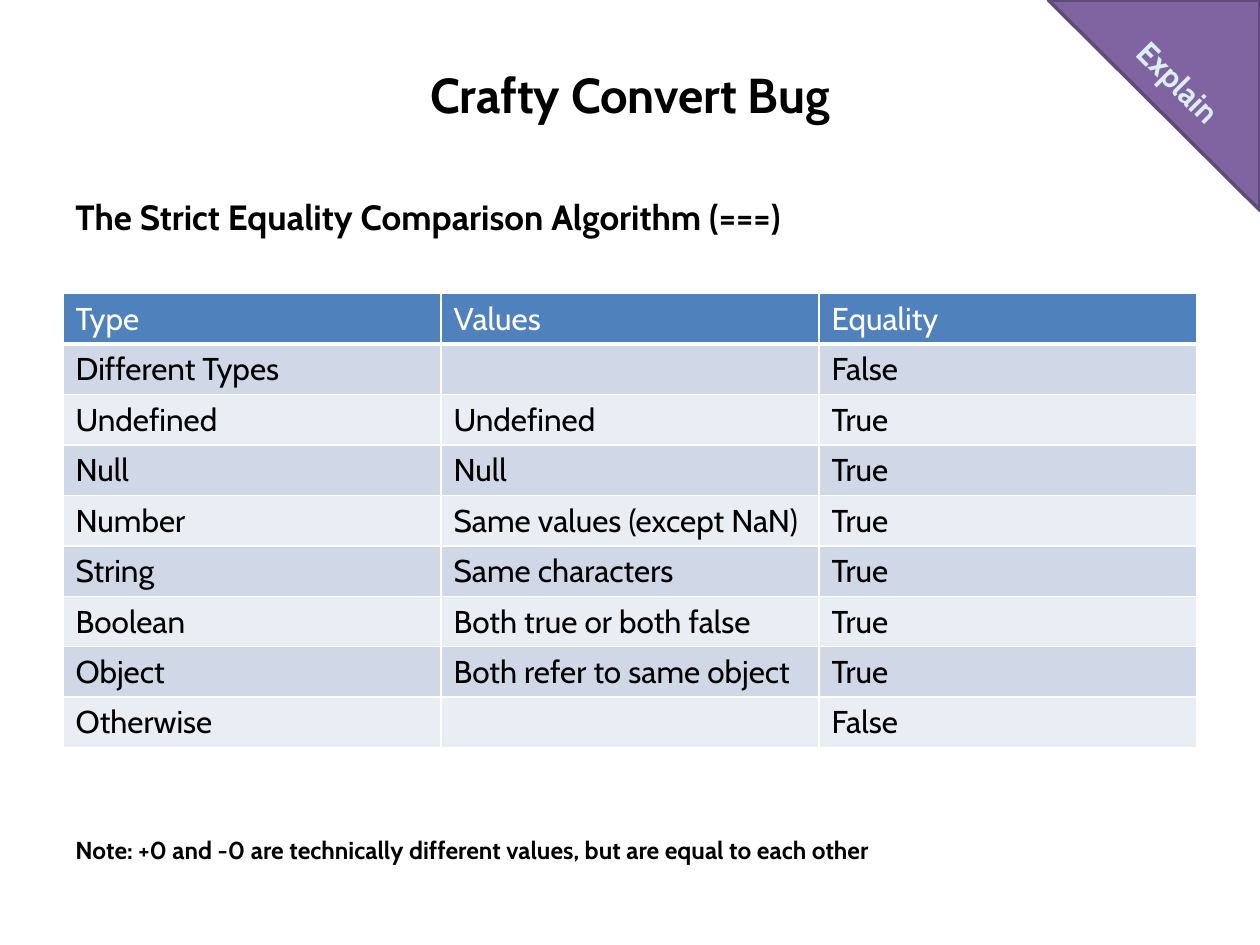
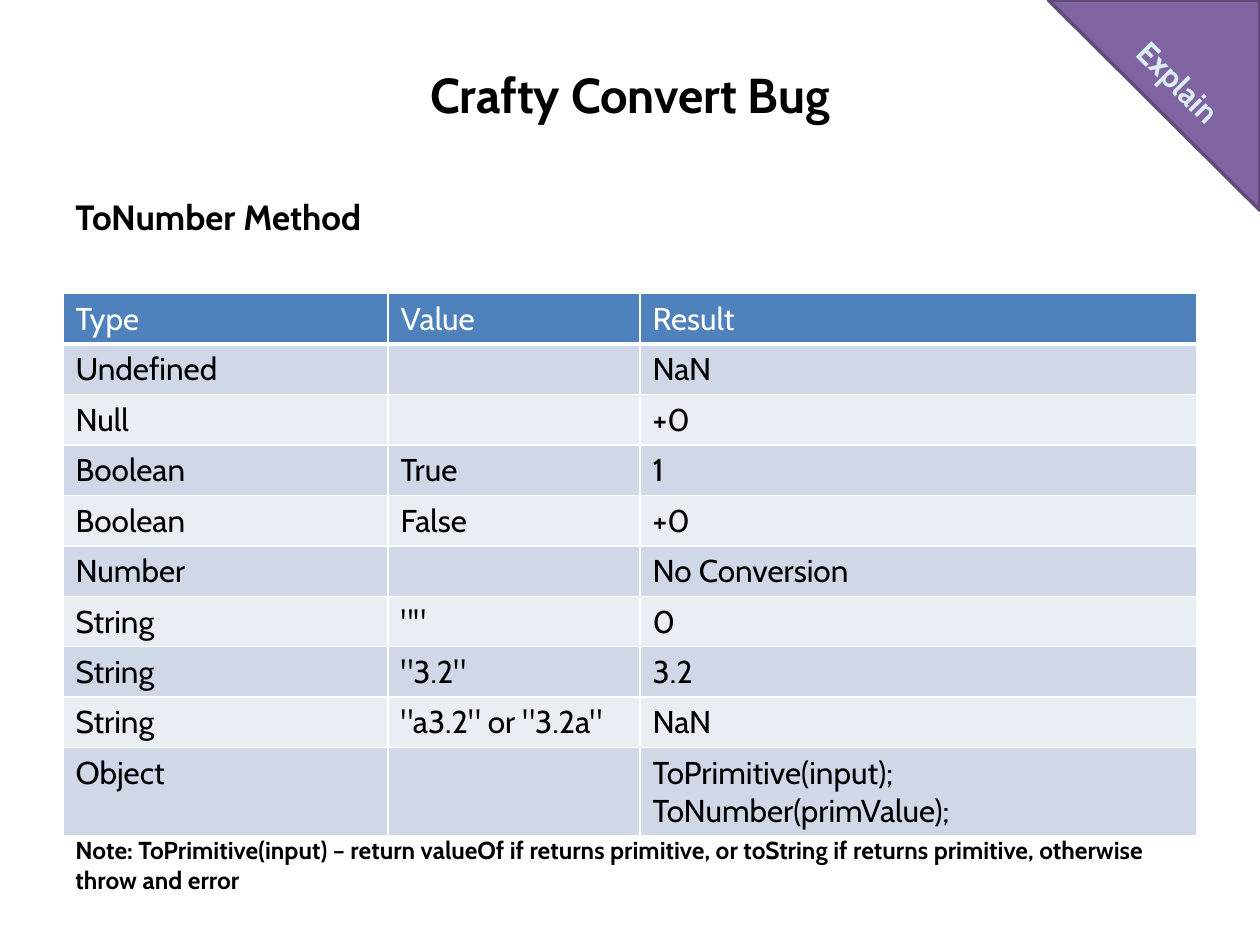
from lxml import etree
from pptx import Presentation
from pptx.dml.color import RGBColor
from pptx.enum.shapes import MSO_SHAPE as Shape
from pptx.enum.text import MSO_ANCHOR as Anchor, MSO_AUTO_SIZE as AutoSize, PP_ALIGN as Align
from pptx.oxml.ns import qn
from pptx.util import Inches, Pt

FONT = "Cabin"
WHITE, BLACK = "FFFFFF", "000000"
HEADER_FILL = "4F81BD"
BAND_FILLS = ["D0D8E8", "E9EDF4"]
CORNER_FILL, CORNER_LINE, CORNER_TEXT = "8064A2", "5F4A78", "DBEEF4"
LEFT, WIDTH, ROW_HEIGHT = 0.5, 9, 0.4


def color(hex_code):
    return RGBColor.from_string(hex_code)


class SlideBuilder:
    """Holds the shared style and the slide being built."""

    def __init__(self, deck):
        self.deck = deck
        self.page = None

    def new_page(self, title):
        self.page = self.deck.slides.add_slide(self.deck.slide_layouts[5])
        box = self.page.shapes.title
        place = {"left": LEFT, "top": 0.33, "width": WIDTH, "height": 0.83}
        for name, value in place.items():
            setattr(box, name, Inches(value))
        box.text_frame.auto_size = AutoSize.NONE
        box.text_frame.vertical_anchor = Anchor.MIDDLE
        self.fill_text(box.text_frame, title, 28, bold=True, align=Align.CENTER)

    def fill_text(self, frame, text, size, hex_code=BLACK, bold=False, align=Align.LEFT):
        para = frame.paragraphs[0]
        para.alignment = align
        if not text:
            return
        span = para.add_run()
        span.text = text
        for name, value in {"name": FONT, "size": Pt(size), "bold": bold}.items():
            setattr(span.font, name, value)
        span.font.color.rgb = color(hex_code)

    def text_box(self, text, left, top, width, height, size, **style):
        box = self.page.shapes.add_textbox(*map(Inches, (left, top, width, height)))
        box.text_frame.word_wrap = True
        self.fill_text(box.text_frame, text, size, bold=True, **style)
        return box

    def borders(self, cell, bottom):
        properties = cell._tc.get_or_add_tcPr()
        for side, points in {"L": 1, "R": 1, "T": 1, "B": bottom}.items():
            line = etree.SubElement(properties, qn(f"a:ln{side}"), w=str(Pt(points)))
            fill = etree.SubElement(line, qn("a:solidFill"))
            etree.SubElement(fill, qn("a:srgbClr"), val=WHITE)

    def table(self, rows, widths):
        frame = self.page.shapes.add_table(
            len(rows), len(widths), Inches(LEFT), Inches(2.33),
            Inches(WIDTH), Inches(ROW_HEIGHT * len(rows)))
        grid = frame.table
        for column, width in zip(grid.columns, widths):
            column.width = Inches(width)
        for r, row in enumerate(rows):
            is_header = r == 0
            for c, text in enumerate(row):
                cell = grid.cell(r, c)
                self.borders(cell, bottom=3 if is_header else 1)
                cell.fill.solid()
                cell.fill.fore_color.rgb = color(
                    HEADER_FILL if is_header else BAND_FILLS[(r - 1) % 2])
                self.fill_text(cell.text_frame, text, 18, WHITE if is_header else BLACK)

    def corner(self, label):
        triangle = self.page.shapes.add_shape(
            Shape.RIGHT_TRIANGLE, Inches(8.32), 0, Inches(1.68), Inches(1.67))
        triangle.rotation = 180
        triangle.shadow.inherit = False
        triangle.fill.solid()
        triangle.fill.fore_color.rgb = color(CORNER_FILL)
        triangle.line.color.rgb = color(CORNER_LINE)
        triangle.line.width = Pt(2)
        box = self.text_box(label, 8.5, 0.45, 1.71, 0.4, 18,
                            hex_code=CORNER_TEXT, align=Align.CENTER)
        box.rotation = 45

    def table_page(self, heading, rows, widths, note):
        self.new_page("Crafty Convert Bug")
        self.text_box(heading, LEFT, 1.5, WIDTH, 0.5, 20)
        self.table(rows, widths)
        self.text_box(note, LEFT, 6.58, 9.02, 0.34, 14)
        self.corner("Explain")


def main():
    deck = Presentation()
    deck.slide_width, deck.slide_height = Inches(10), Inches(7.5)
    builder = SlideBuilder(deck)

    # Strict equality
    builder.table_page(
        "The Strict Equality Comparison Algorithm (===)",
        [
            ("Type", "Values", "Equality"),
            ("Different Types", "", "False"),
            ("Undefined", "Undefined", "True"),
            ("Null", "Null", "True"),
            ("Number", "Same values (except NaN)", "True"),
            ("String", "Same characters", "True"),
            ("Boolean", "Both true or both false", "True"),
            ("Object", "Both refer to same object", "True"),
            ("Otherwise", "", "False"),
        ],
        [3, 3, 3],
        "Note: +0 and -0 are technically different values, but are equal to each other")

    # Conversion to a number
    builder.table_page(
        "ToNumber Method",
        [
            ("Type", "Value", "Result"),
            ("Undefined", "", "NaN"),
            ("Null", "", "+0"),
            ("Boolean", "True", "1"),
            ("Boolean", "False", "+0"),
            ("Number", "", "No Conversion"),
            ("String", '""', "0"),
            ("String", '"3.2"', "3.2"),
            ("String", '"a3.2" or "3.2a"', "NaN"),
            ("Object", "", "ToPrimitive(input); ToNumber(primValue);"),
        ],
        [2.58, 2, 4.42],
        "Note: ToPrimitive(input) – return valueOf if returns primitive, "
        "or toString if returns primitive, otherwise throw and error")

    deck.save("out.pptx")


if __name__ == "__main__":
    main()
